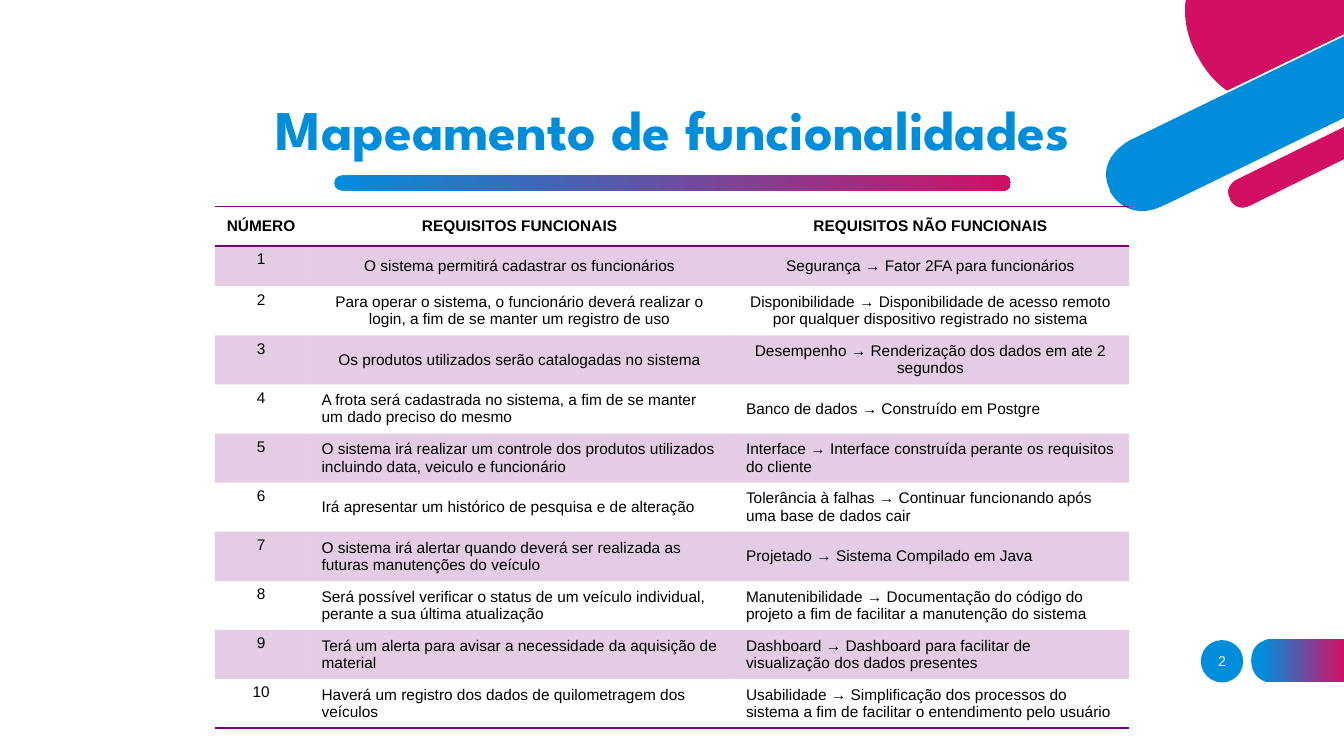
from lxml import etree
from pptx import Presentation
from pptx.dml.color import RGBColor
from pptx.enum.shapes import MSO_SHAPE
from pptx.enum.text import MSO_ANCHOR, PP_ALIGN
from pptx.oxml.ns import qn
from pptx.util import Inches, Pt

BLUE = RGBColor(0x00, 0x8E, 0xDC)
PINK = RGBColor(0xD3, 0x0F, 0x64)
PURPLE = RGBColor(0x7A, 0x00, 0x78)
BLACK = RGBColor(0, 0, 0)
WHITE = RGBColor(255, 255, 255)
ROUNDED, OVAL = MSO_SHAPE.ROUNDED_RECTANGLE, MSO_SHAPE.OVAL
CENTER, LEFT = PP_ALIGN.CENTER, PP_ALIGN.LEFT
TOP, MIDDLE, BOTTOM = MSO_ANCHOR.TOP, MSO_ANCHOR.MIDDLE, MSO_ANCHOR.BOTTOM
NO_STYLE = "{2D5ABB26-0587-4C30-8999-92F81FD0307C}"
WIDTH, HEIGHT = 13.33, 7.5
COLUMNS = [0.92, 4.21, 3.94]
ROWS = [0.39, 0.4] + [0.48] * 9
CENTERED_ROWS = 4
HEADER = ("NÚMERO", "REQUISITOS FUNCIONAIS", "REQUISITOS NÃO FUNCIONAIS")
REQUIREMENTS = [
    ("O sistema permitirá cadastrar os funcionários",
     "Segurança → Fator 2FA para funcionários"),
    ("Para operar o sistema, o funcionário deverá realizar o login, a fim de se manter um registro de uso",
     "Disponibilidade → Disponibilidade de acesso remoto por qualquer dispositivo registrado no sistema"),
    ("Os produtos utilizados serão catalogadas no sistema",
     "Desempenho → Renderização dos dados em ate 2 segundos"),
    ("A frota será cadastrada no sistema, a fim de se manter um dado preciso do mesmo",
     "Banco de dados → Construído em Postgre"),
    ("O sistema irá realizar um controle dos produtos utilizados incluindo data, veiculo e funcionário",
     "Interface → Interface construída perante os requisitos do cliente"),
    ("Irá apresentar um histórico de pesquisa e de alteração",
     "Tolerância à falhas → Continuar funcionando após uma base de dados cair"),
    ("O sistema irá alertar quando deverá ser realizada as futuras manutenções do veículo",
     "Projetado → Sistema Compilado em Java"),
    ("Será possível verificar o status de um veículo individual, perante a sua última atualização",
     "Manutenibilidade → Documentação do código do projeto a fim de facilitar a manutenção do sistema"),
    ("Terá um alerta para avisar a necessidade da aquisição de material",
     "Dashboard → Dashboard para facilitar de visualização dos dados presentes"),
    ("Haverá um registro dos dados de quilometragem dos veículos",
     "Usabilidade → Simplificação dos processos do sistema a fim de facilitar o entendimento pelo usuário"),
]
CORNER = [
    (PINK, [(0.92, 0.56), (0.92, 0.56, 1.01, 0.76, 1.21, 0.9), (2.37, 0.34), (2.37, 0), (0.8, 0),
            (0.78, 0.15, 0.8, 0.33, 0.9, 0.53)]),
    (BLUE, [(0.25, 1.39), (0.25, 1.39, -0.11, 1.57, 0.05, 1.89), (0.05, 1.9),
            (0.05, 1.9, 0.21, 2.22, 0.58, 2.04), (2.37, 1.17), (2.37, 0.36)]),
    (PINK, [(2.37, 1.26), (1.31, 1.78), (1.31, 1.78, 1.17, 1.85, 1.24, 1.97), (1.24, 1.98),
            (1.24, 1.98, 1.3, 2.11, 1.44, 2.04), (2.37, 1.58)]),
]
TAB = [(0.21, 0.43), (0.92, 0.43), (0.92, 0), (0.21, 0), (0.21, 0, 0, 0, 0, 0.21), (0, 0.22),
       (0, 0.22, 0, 0.43, 0.21, 0.43)]


def paint(sp, *colors, start=0):
    """Fill a shape with one colour, or blend two from left to right."""
    sp.shadow.inherit = False
    sp.line.fill.background()
    if len(colors) == 1:
        sp.fill.solid()
        sp.fill.fore_color.rgb = colors[0]
        return
    sp.fill.gradient()
    sp.fill.gradient_angle = 0
    for stop, color, position in zip(sp.fill.gradient_stops, colors, (start, 1)):
        stop.color.rgb = color
        stop.position = position


def outline(s, left, top, segments, steps=12):
    """Draw a closed outline of straight and cubic segments from a corner."""
    points = [segments[0]]
    for segment in segments[1:]:
        if len(segment) == 2:
            points.append(segment)
            continue
        knots = [points[-1], segment[:2], segment[2:4], segment[4:]]
        for t in (i / steps for i in range(1, steps + 1)):
            weights = ((1 - t) ** 3, 3 * t * (1 - t) ** 2, 3 * t * t * (1 - t), t ** 3)
            points.append(tuple(sum(w * k[axis] for w, k in zip(weights, knots)) for axis in (0, 1)))
    emu = [(Inches(left + x), Inches(top + y)) for x, y in points]
    builder = s.shapes.build_freeform(*emu[0])
    builder.add_line_segments(emu[1:], close=True)
    return builder.convert_to_shape()


def write(tf, text, align, anchor, color, **font):
    """Write one formatted paragraph in a text frame."""
    tf.word_wrap = True
    tf.vertical_anchor = anchor
    p = tf.paragraphs[0]
    p.alignment = align
    r = p.add_run()
    r.text = text
    r.font.color.rgb = color
    for name, value in font.items():
        setattr(r.font, name, value)
    return p


def add_corner(s, left, top):
    """Place the slanted stripes and the disc."""
    for color, segments in CORNER:
        paint(outline(s, left, top, segments), color)


def add_title(s, left, top, width, height):
    """Place the title and the gradient bar under it."""
    box = s.shapes.add_textbox(*map(Inches, (left, top, width, height)))
    p = write(box.text_frame, "Mapeamento de funcionalidades", CENTER, BOTTOM, BLUE,
              size=Pt(40), name="League Spartan", bold=True)
    p.line_spacing = 0.9
    bar_width = 6.71
    bar = s.shapes.add_shape(ROUNDED, *map(Inches, (left + (width - bar_width) / 2, top + height + 0.08,
                                                    bar_width, 0.15)))
    bar.adjustments[0] = 0.5
    paint(bar, BLUE, PINK)


def add_page_number(s, left, top, size):
    """Place the numbered disc and the tab that runs to the slide edge."""
    paint(s.shapes.add_shape(OVAL, *map(Inches, (left, top, size, size))), BLUE)
    paint(outline(s, left + size + 0.08, top - 0.01, TAB), BLUE, PINK, start=0.12)
    box = s.shapes.add_textbox(*map(Inches, (left - 0.09, top + 0.01, 0.6, 0.4)))
    write(box.text_frame, "2", CENTER, MIDDLE, WHITE, size=Pt(10), name="Arial")


def add_borders(cell, sides):
    """Draw one-point purple borders on the named sides of a cell."""
    tcPr = cell._tc.get_or_add_tcPr()
    for i, side in enumerate(sides):
        ln = etree.Element(qn("a:ln" + side), w=str(Pt(1)))
        fill = etree.SubElement(ln, qn("a:solidFill"))
        etree.SubElement(fill, qn("a:srgbClr"), val=str(PURPLE))
        tcPr.insert(i, ln)


def shade(cell, banded):
    """Tint a banded cell and leave any other clear."""
    if not banded:
        cell.fill.background()
        return
    cell.fill.solid()
    cell.fill.fore_color.rgb = PURPLE
    color = cell._tc.tcPr.find(".//" + qn("a:srgbClr"))
    etree.SubElement(color, qn("a:alpha"), val="20000")


def add_requirements(s, left, top):
    """Place the table of numbered requirements."""
    frame = s.shapes.add_table(len(ROWS), len(COLUMNS),
                               *map(Inches, (left, top, sum(COLUMNS), sum(ROWS))))
    table = frame.table
    table.first_row = table.horz_banding = False
    table._tbl.tblPr.find(qn("a:tableStyleId")).text = NO_STYLE
    for column, width in zip(table.columns, COLUMNS):
        column.width = Inches(width)
    for row, height in zip(table.rows, ROWS):
        row.height = Inches(height)
    records = [HEADER] + [(str(n), *pair) for n, pair in enumerate(REQUIREMENTS, 1)]
    for i, record in enumerate(records):
        for j, text in enumerate(record):
            cell = table.cell(i, j)
            if j:
                cell.margin_left = cell.margin_right = Inches(0.14)
                cell.margin_top = cell.margin_bottom = Inches(0.06)
            align = CENTER if j == 0 or i < CENTERED_ROWS else LEFT
            anchor = MIDDLE if j or i == 0 else TOP
            write(cell.text_frame, text, align, anchor, BLACK, size=Pt(11), name="Arial", bold=i == 0)
            cell.vertical_anchor = anchor
            shade(cell, i % 2 == 1)
            add_borders(cell, {0: "TB", len(records) - 1: "B"}.get(i, ""))


def main():
    """Build the slide and save it."""
    prs = Presentation()
    prs.slide_width, prs.slide_height = Inches(WIDTH), Inches(HEIGHT)
    s = prs.slides.add_slide(prs.slide_layouts[6])
    add_page_number(s, 11.91, 6.35, 0.42)
    add_corner(s, 10.96, 0)
    add_title(s, 0.92, 0.92, 11.5, 0.74)
    add_requirements(s, 2.13, 2.05)
    prs.save("out.pptx")


if __name__ == "__main__":
    main()
